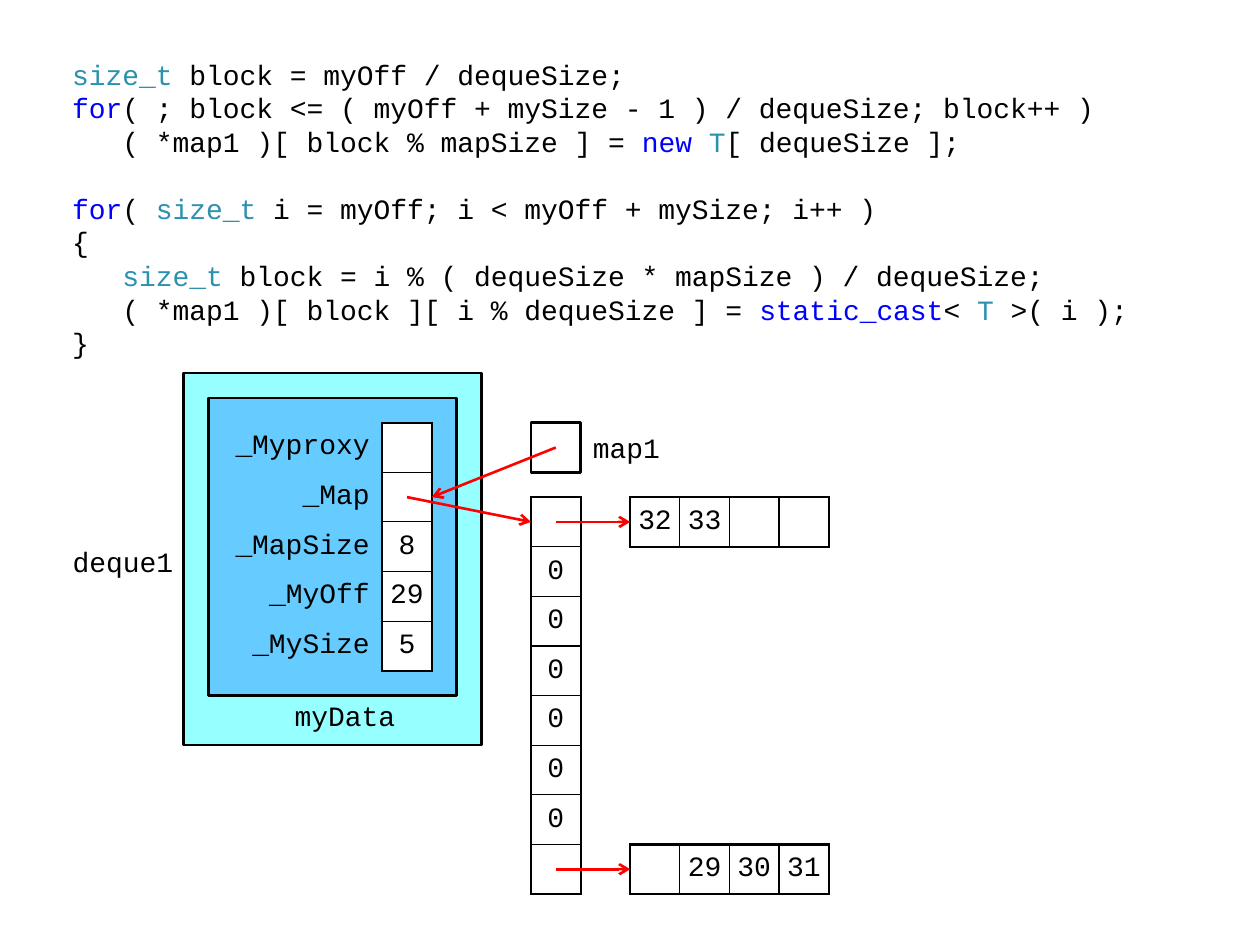
from lxml import etree
from pptx import Presentation
from pptx.dml.color import RGBColor
from pptx.enum.shapes import MSO_CONNECTOR, MSO_SHAPE
from pptx.enum.text import MSO_ANCHOR, MSO_AUTO_SIZE, PP_ALIGN
from pptx.oxml.ns import qn
from pptx.util import Pt

LEFT, MID, RIGHT = PP_ALIGN.LEFT, PP_ALIGN.CENTER, PP_ALIGN.RIGHT
TOP, CENTER = MSO_ANCHOR.TOP, MSO_ANCHOR.MIDDLE
RECT, PROCESS = MSO_SHAPE.RECTANGLE, MSO_SHAPE.FLOWCHART_PROCESS
STRAIGHT = MSO_CONNECTOR.STRAIGHT
NO_FIT = MSO_AUTO_SIZE.NONE

COLORS = {
    "text": "000000", "type": "2B91AF", "key": "0000FF", "white": "FFFFFF",
    "outer": "96FFFF", "inner": "66CCFF", "arrow": "FF0000",
}
FONT, SIZE, LINE = "Courier New", 16, 19.2
THICK, THIN = 1.5, 0.75

# The diagram sits on a square grid that starts at the deque's corner
UNIT, X0, Y0 = 28.35, 105, 213.2

# Code lines as runs of (text, colour); a gap comes before each new block
BLOCKS = [
    [
        [("size_t", "type"), (" block = myOff / dequeSize;", "text")],
        [("for", "key"),
         ("( ; block <= ( myOff + mySize - 1 ) / dequeSize; block++ )", "text")],
        [("   ( *map1 )[ block % mapSize ] = ", "text"), ("new ", "key"),
         ("T", "type"), ("[ dequeSize ];", "text")],
    ],
    [
        [("for", "key"), ("( ", "text"), ("size_t", "type"),
         (" i = myOff; i < myOff + mySize; i++ )", "text")],
        [("{", "text")],
        [("   ", "text"), ("size_t", "type"),
         (" block = i % ( dequeSize * mapSize ) / dequeSize;", "text")],
        [("   ( *map1 )[ block ][ i % dequeSize ] = ", "text"),
         ("static_cast", "key"), ("< ", "text"), ("T", "type"),
         (" >( i );", "text")],
        [("}", "text")],
    ],
]
FIELDS = [("_Myproxy", ""), ("_Map", ""), ("_MapSize", "8"),
          ("_MyOff", "29"), ("_MySize", "5")]
MAP = [[""]] + [["0"]] * 6 + [[""]]


def rgb(name):
    return RGBColor.from_string(COLORS[name])


def place(x, y):
    return Pt(X0 + x * UNIT), Pt(Y0 + y * UNIT)


def area(x, y, wide, high):
    return *place(x, y), Pt(wide * UNIT), Pt(high * UNIT)


def add_run(para, text, color="text"):
    run = para.add_run()
    run.text = text
    run.font.name, run.font.size = FONT, Pt(SIZE)
    run.font.color.rgb = rgb(color)


def add_code(body):
    body.left, body.top = Pt(34), Pt(29)
    body.width, body.height = Pt(652), Pt(184)
    frame = body.text_frame
    frame.auto_size, frame.vertical_anchor = NO_FIT, TOP
    first = True
    for block in BLOCKS:
        for row, line in enumerate(block):
            para = frame.paragraphs[0] if first else frame.add_paragraph()
            props = para._p.get_or_add_pPr()
            props.set("marL", "0")
            props.set("indent", "0")
            etree.SubElement(props, qn("a:buNone"))
            para.alignment, para.line_spacing = LEFT, Pt(LINE)
            para.space_before = Pt(LINE if row == 0 and not first else 0)
            first = False
            for text, color in line:
                add_run(para, text, color)


def add_box(slide, kind, color, *spot):
    box = slide.shapes.add_shape(kind, *area(*spot))
    box.shadow.inherit = False
    box.fill.solid()
    box.fill.fore_color.rgb = rgb(color)
    box.line.color.rgb = rgb("text")
    box.line.width = Pt(THICK)


def add_label(slide, text, spot, align, anchor=TOP, left=6, top=3):
    frame = slide.shapes.add_textbox(*area(*spot)).text_frame
    frame.word_wrap, frame.vertical_anchor = True, anchor
    frame.margin_left, frame.margin_right = Pt(left), Pt(6)
    frame.margin_top, frame.margin_bottom = Pt(top), 0
    para = frame.paragraphs[0]
    para.alignment = align
    add_run(para, text)


def set_edges(cell, widths):
    """Draw the left, right, top and bottom edges; a width of 0 hides one."""
    props = cell._tc.get_or_add_tcPr()
    for spot, (side, width) in enumerate(zip("LRTB", widths)):
        edge = etree.Element(qn("a:ln" + side), w=str(Pt(width)))
        if width:
            fill = etree.SubElement(edge, qn("a:solidFill"))
            etree.SubElement(fill, qn("a:srgbClr"), val=COLORS["text"])
        else:
            etree.SubElement(edge, qn("a:noFill"))
        props.insert(spot, edge)


def add_grid(slide, x, y, rows, names=0):
    """Add a table of square cells; names is the width of a label column."""
    high, wide = len(rows), len(rows[0])
    start = 1 if names else 0
    full = wide - start + names
    grid = slide.shapes.add_table(high, wide, *area(x, y, full, high)).table
    grid.first_row = grid.horz_banding = False
    for col in range(wide):
        grid.columns[col].width = Pt(UNIT * (names if col < start else 1))
    for r, row in enumerate(rows):
        grid.rows[r].height = Pt(UNIT)
        for c, text in enumerate(row):
            cell = grid.cell(r, c)
            named = c < start
            cell.vertical_anchor = CENTER
            cell.margin_left = cell.margin_right = Pt(7.2 if named else 0)
            cell.margin_top = cell.margin_bottom = Pt(2)
            para = cell.text_frame.paragraphs[0]
            para.alignment = RIGHT if named else MID
            if text:
                add_run(para, text)
            if named:
                cell.fill.background()
                set_edges(cell, (0, THICK, 0, 0))
                continue
            cell.fill.solid()
            cell.fill.fore_color.rgb = rgb("white")
            ends = (c == start, c == wide - 1, r == 0, r == high - 1)
            set_edges(cell, [THICK if end else THIN for end in ends])


def add_arrow(slide, start, end):
    line = slide.shapes.add_connector(STRAIGHT, *place(*start), *place(*end))
    line.line.color.rgb = rgb("arrow")
    line.line.width = Pt(THICK)
    etree.SubElement(line.line._get_or_add_ln(), qn("a:tailEnd"), type="arrow")
    etree.SubElement(line._element.spPr, qn("a:effectLst"))


def main():
    deck = Presentation()
    deck.slide_width, deck.slide_height = Pt(720), Pt(540)
    slide = deck.slides.add_slide(deck.slide_layouts[1])
    title = slide.shapes.title._element
    title.getparent().remove(title)

    # Code
    add_code(slide.placeholders[1])

    # Deque object with its fields
    add_box(slide, PROCESS, "outer", 0, 0, 6, 7.5)
    add_box(slide, PROCESS, "inner", 0.5, 0.5, 5, 6)
    add_label(slide, "deque1", (-2.5, 3, 2.5, 1.5), RIGHT, CENTER)
    add_label(slide, "myData", (2, 6.5, 2.5, 1), MID, top=1.5)
    add_grid(slide, 0.5, 1, FIELDS, names=3.5)

    # Map, its pointer and its two blocks
    add_grid(slide, 7, 2.5, MAP)
    add_box(slide, RECT, "white", 7, 1, 1, 1)
    add_label(slide, "map1", (8, 1, 2, 1), LEFT, left=7.2, top=4.3)
    add_grid(slide, 9, 2.5, [["32", "33", "", ""]])
    add_grid(slide, 9, 9.5, [["", "29", "30", "31"]])

    # Pointers
    add_arrow(slide, (4.5, 2.5), (7, 3))
    add_arrow(slide, (7.5, 1.5), (5, 2.5))
    for y in (3, 10):
        add_arrow(slide, (7.5, y), (9, y))

    deck.save("out.pptx")


if __name__ == "__main__":
    main()
